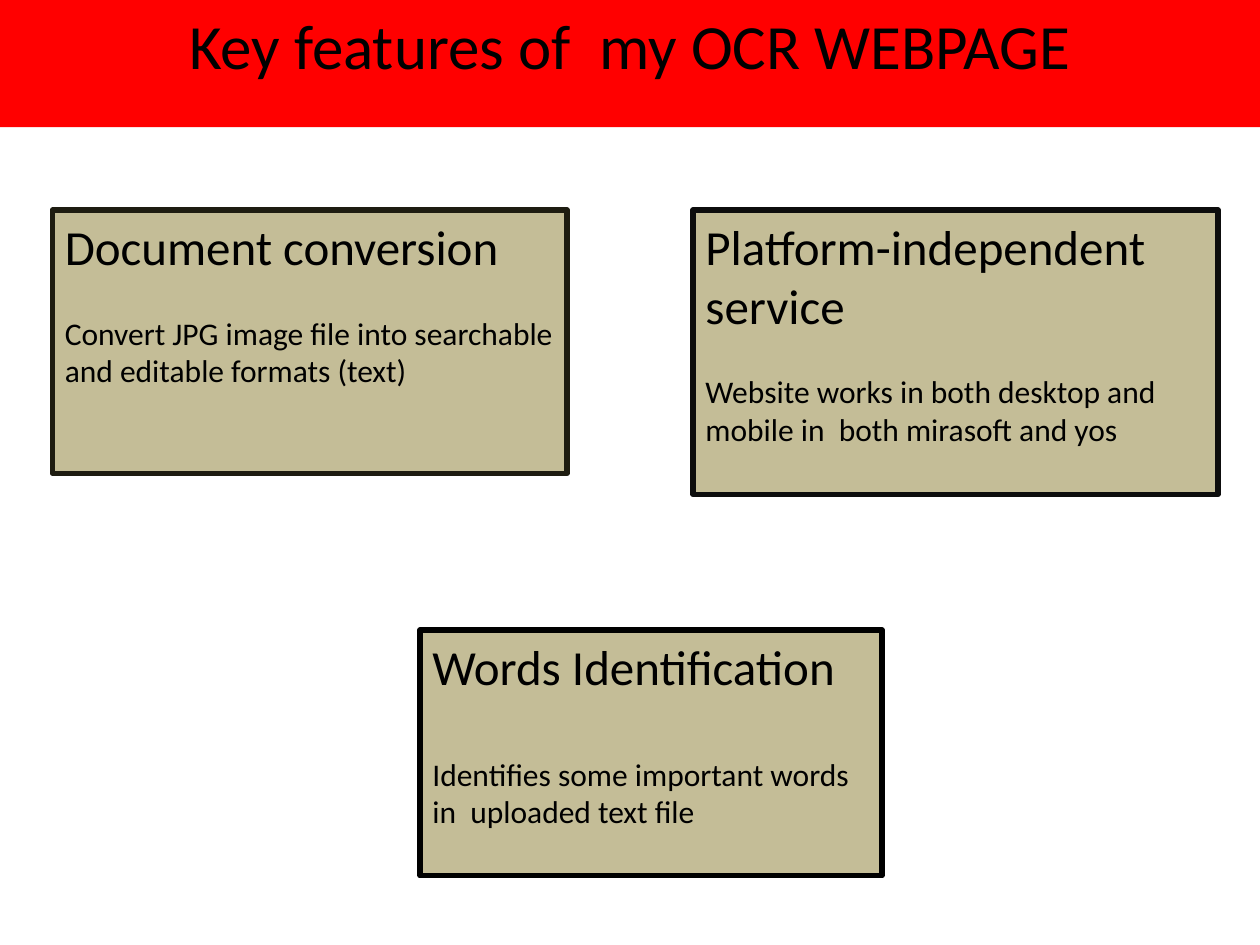
from pptx import Presentation
from pptx.dml.color import RGBColor
from pptx.enum.shapes import MSO_SHAPE as Shape
from pptx.enum.text import MSO_ANCHOR as Anchor, PP_ALIGN as Align
from pptx.util import Pt

COLORS = {
    "banner": "FF0000",
    "card": "C4BD97",
    "text": "000000",
    "olive": "1E1C11",
    "charcoal": "0D0D0D",
    "black": "000000",
}
FONT = "Calibri"

CARDS = [
    ((30, 120, 294, 150.5), "olive", 22, "Document conversion",
     "Convert JPG image file into searchable and editable formats (text)"),
    ((396, 120, 300, 162.5), "charcoal", 22, "Platform-independent service",
     "Website works in both desktop and mobile in  both mirasoft and yos"),
    ((240, 360, 264, 140.5), "black", 34, "Words Identification",
     "Identifies some important words in  uploaded text file"),
]


def color(name):
    return RGBColor.from_string(COLORS[name])


def add_box(slide, box, fill, line=None):
    shape = slide.shapes.add_shape(Shape.RECTANGLE, *map(Pt, box))
    shape.shadow.inherit = False
    shape.fill.solid()
    shape.fill.fore_color.rgb = color(fill)
    if line:
        shape.line.color.rgb = color(line)
        shape.line.width = Pt(3)
    else:
        shape.line.fill.background()
    shape.text_frame.word_wrap = True
    shape.text_frame.vertical_anchor = Anchor.TOP
    return shape


def write_text(paragraph, text, size, align=Align.LEFT, space_before=0):
    paragraph.alignment = align
    paragraph.space_before = Pt(space_before)
    run = paragraph.add_run()
    run.text = text
    run.font.name = FONT
    run.font.size = Pt(size)
    run.font.color.rgb = color("text")


def add_banner(slide, box, title):
    shape = add_box(slide, box, "banner")
    write_text(shape.text_frame.paragraphs[0], title, size=36, align=Align.CENTER)


def add_card(slide, box, line, gap, heading, body):
    frame = add_box(slide, box, "card", line).text_frame
    write_text(frame.paragraphs[0], heading, size=28)
    write_text(frame.add_paragraph(), body, size=18, space_before=gap)


def main():
    presentation = Presentation()
    presentation.slide_width = Pt(720)
    presentation.slide_height = Pt(540)
    slide = presentation.slides.add_slide(presentation.slide_layouts[6])
    add_banner(slide, (0, 0, 720, 72.7), "Key features of  my OCR WEBPAGE")
    for card in CARDS:
        add_card(slide, *card)
    presentation.save("out.pptx")


if __name__ == "__main__":
    main()
